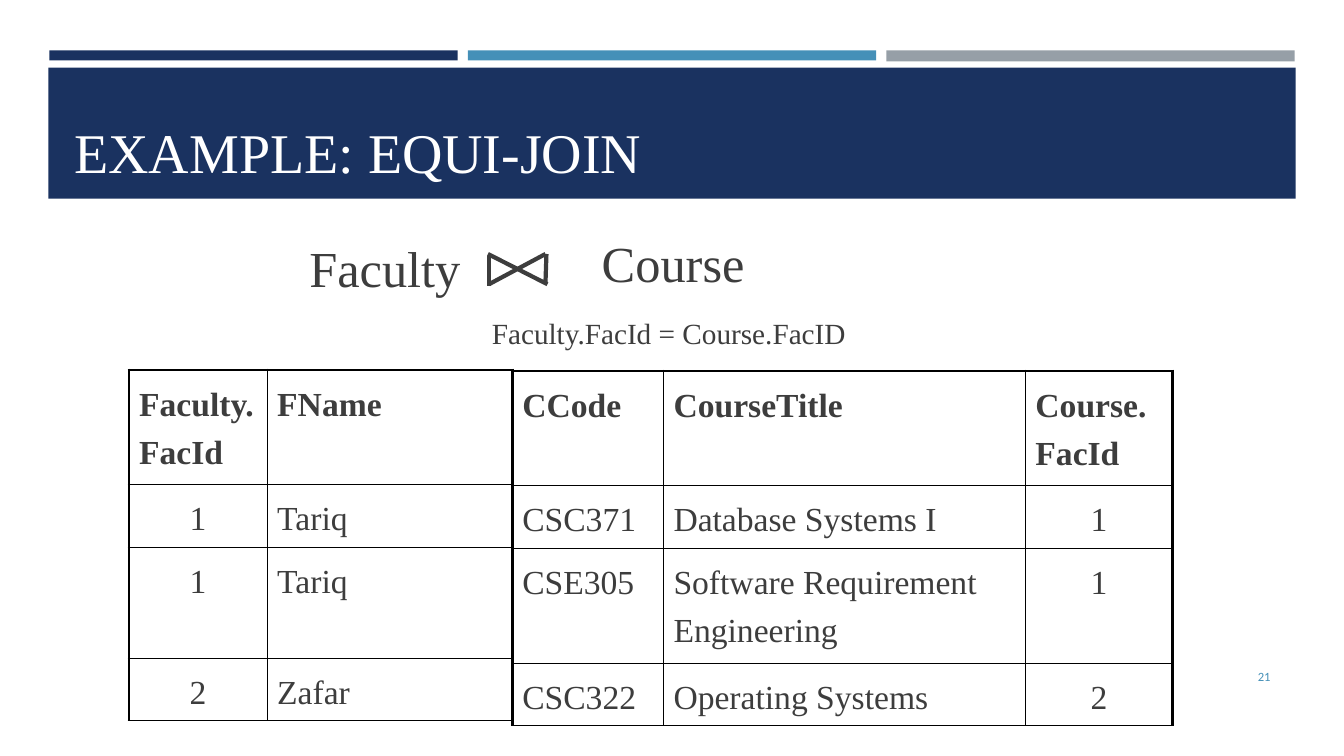
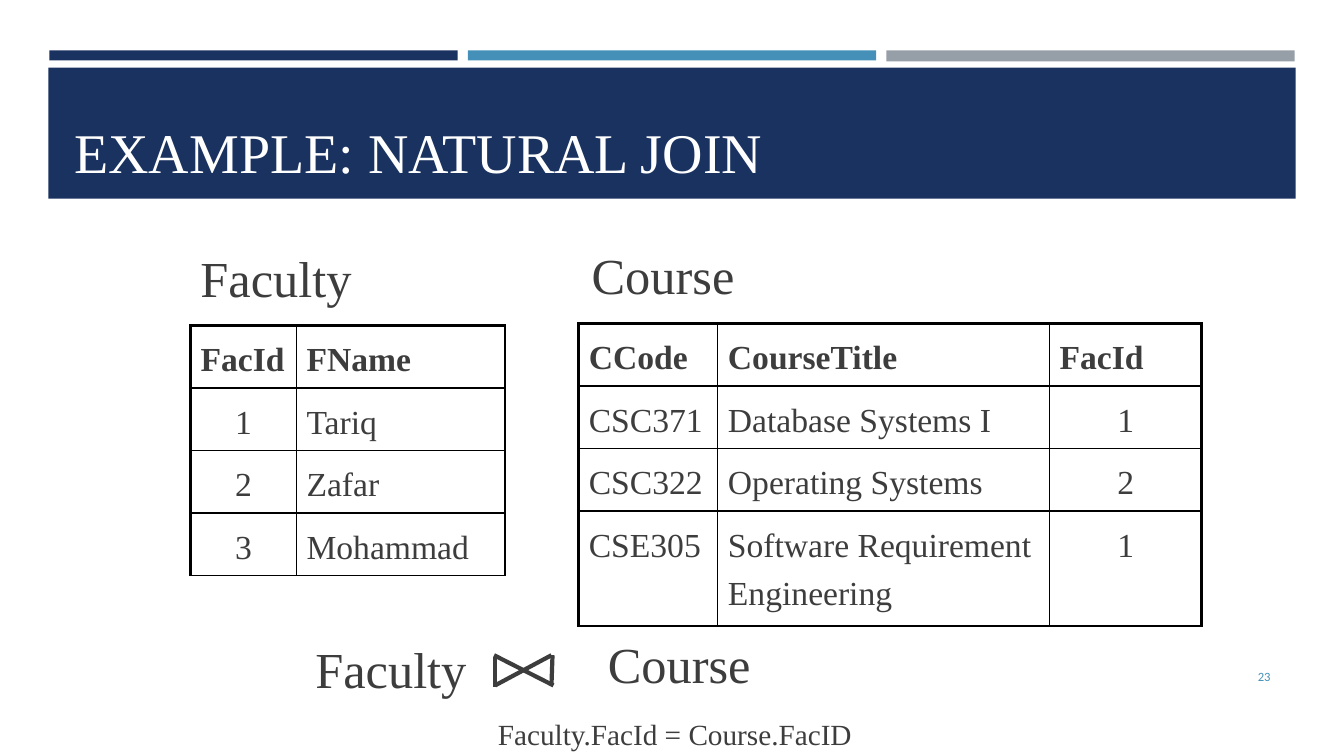
from lxml import etree
from pptx import Presentation
from pptx import util as u
from pptx.dml.color import RGBColor
from pptx.enum import shapes, text
from pptx.oxml import ns

COLORS = {"navy": "1A3260", "blue": "4590B8", "gray": "969FA7",
          "ink": "3D3D3D", "white": "FFFFFF", "black": "000000"}
SERIF, SANS = "Times New Roman", "Calibri"
BARS = [("navy", 0.1), ("blue", 0.1), ("gray", 0.11)]  # colour, height
BAR_WIDTH, BAR_STEP = 4.05, 4.15
THIN, THICK = 1, 2.25

# Parts of the join formula, relative to its top left corner
BOWTIE = [(1.87, 0.27, 2.46, 0.57), (1.88, 0.57, 2.44, 0.27),
          (1.88, 0.29, 1.88, 0.59), (2.45, 0.27, 2.44, 0.56)]
JOIN_WORDS = [("Faculty", 0, 0.05, 1.73), ("Course", 2.9, 0, 1.63)]
JOIN_CONDITION = ("Faculty.FacId = Course.FacID", 1.81, 0.49, 6.41)

SLIDES = [
    {"title": "EXAMPLE: EQUI-JOIN", "number": "21", "join": (2.97, 2.25),
     "labels": [],
     "tables": [
         {"at": (5.08, 3.68), "columns": (1.5, 3.59, 1.46),
          "heights": (1.06, 0.57, 1.06, 0.57),
          "rows": [("CCode", "CourseTitle", "Course.FacId"),
                   ("CSC371", "Database Systems I", "1"),
                   ("CSE305", "Software Requirement Engineering", "1"),
                   ("CSC322", "Operating Systems", "2")]},
         {"at": (1.28, 3.67), "columns": (1.37, 2.43),
          "heights": (1.06, 0.57, 1.1, 0.57),
          "rows": [("Faculty.FacId", "FName"), ("1", "Tariq"),
                   ("1", "Tariq"), ("2", "Zafar")]}]},
    {"title": "EXAMPLE: NATURAL JOIN", "number": "23", "join": (3.03, 6.23),
     "labels": [("Faculty", 1.89, 2.4), ("Course", 5.77, 2.37)],
     "tables": [
         {"at": (5.74, 3.21), "columns": (1.38, 3.29, 1.51),
          "heights": (0.57, 0.57, 0.57, 1.06),
          "rows": [("CCode", "CourseTitle", "FacId"),
                   ("CSC371", "Database Systems I", "1"),
                   ("CSC322", "Operating Systems", "2"),
                   ("CSE305", "Software Requirement Engineering", "1")]},
         {"at": (1.89, 3.23), "columns": (1.05, 2.07),
          "heights": (0.57,) * 4,
          "rows": [("FacId", "FName"), ("1", "Tariq"),
                   ("2", "Zafar"), ("3", "Mohammad")]}]},
]


def color(name):
    return RGBColor.from_string(COLORS[name])


def inches(*lengths):
    return [u.Inches(length) for length in lengths]


def style(para, size, name="ink", face=SERIF, bold=False):
    para.font.size, para.font.name, para.font.bold = u.Pt(size), face, bold
    para.font.color.rgb = color(name)


def add_text(parent, words, left, top, width, height=0.71, size=36,
             name="ink", face=SERIF, anchor=text.MSO_ANCHOR.TOP,
             align=text.PP_ALIGN.LEFT):
    box = parent.add_textbox(*inches(left, top, width, height))
    frame = box.text_frame
    frame.word_wrap = True
    frame.vertical_anchor = anchor
    para = frame.paragraphs[0]
    para.text, para.alignment = words, align
    style(para, size, name, face)
    return para


def add_band(slide, left, top, width, height, name):
    band = slide.shapes.add_shape(shapes.MSO_SHAPE.RECTANGLE,
                                  *inches(left, top, width, height))
    band.shadow.inherit = False
    band.fill.solid()
    band.fill.fore_color.rgb = color(name)
    band.line.fill.background()


def add_frame(slide, title, number):
    """Draw what every slide shares: bars, title band, title and number."""
    for index, (name, height) in enumerate(BARS):
        add_band(slide, 0.49 + index * BAR_STEP, 0.5, BAR_WIDTH, height, name)
    add_band(slide, 0.48, 0.67, 12.37, 1.3, "navy")
    add_text(slide.shapes, title, 0.64, 0.77, 12.06, 1.11, 40, "white",
             anchor=text.MSO_ANCHOR.BOTTOM)
    add_text(slide.shapes, number, 11.55, 6.51, 1.15, 0.4, 9, "blue", SANS,
             text.MSO_ANCHOR.MIDDLE, text.PP_ALIGN.RIGHT)


def set_borders(cell, widths):
    properties = cell._tc.get_or_add_tcPr()
    for side, width in zip("LRTB", widths):
        line = etree.SubElement(properties, ns.qn("a:ln" + side),
                                w=str(u.Pt(width)))
        fill = etree.SubElement(line, ns.qn("a:solidFill"))
        etree.SubElement(fill, ns.qn("a:srgbClr"), val=COLORS["black"])


def add_table(slide, at, columns, heights, rows):
    table = slide.shapes.add_table(
        len(rows), len(columns),
        *inches(*at, sum(columns), sum(heights))).table
    table.first_row = table.horz_banding = False
    for column, width in zip(table.columns, columns):
        column.width = u.Inches(width)
    for row, height in zip(table.rows, heights):
        row.height = u.Inches(height)
    last = len(columns) - 1
    for r, row in enumerate(rows):
        for c, words in enumerate(row):
            cell = table.cell(r, c)
            set_borders(cell, (THICK if c == 0 else THIN,
                               THICK if c == last else THIN,
                               THICK if r == 0 else THIN, THIN))
            cell.fill.solid()
            cell.fill.fore_color.rgb = color("white")
            para = cell.text_frame.paragraphs[0]
            para.text, para.line_spacing = words, 1.3
            if words.isdigit():
                para.alignment = text.PP_ALIGN.CENTER
            style(para, 24, bold=r == 0)


def add_join(slide, left, top):
    """Draw the formula Faculty ⋈ Course with its condition as subscript."""
    group = slide.shapes.add_group_shape().shapes
    for x1, y1, x2, y2 in BOWTIE:
        stroke = group.add_connector(
            shapes.MSO_CONNECTOR.STRAIGHT,
            *inches(left + x1, top + y1, left + x2, top + y2))
        stroke.line.width = u.Pt(3)
        stroke.line.color.rgb = color("ink")
        etree.SubElement(stroke._element.spPr, ns.qn("a:effectLst"))
    for words, x, y, width in JOIN_WORDS:
        add_text(group, words, left + x, top + y, width)
    words, x, y, width = JOIN_CONDITION
    para = add_text(group, words, left + x, top + y, width, 0.51)
    para.runs[0]._r.get_or_add_rPr().set("baseline", "-25000")


def main():
    deck = Presentation()
    deck.slide_width, deck.slide_height = inches(13.33, 7.5)
    for content in SLIDES:
        slide = deck.slides.add_slide(deck.slide_layouts[6])
        add_frame(slide, content["title"], content["number"])
        for table in content["tables"]:
            add_table(slide, **table)
        for words, left, top in content["labels"]:
            add_text(slide.shapes, words, left, top, 2.27)
        add_join(slide, *content["join"])
    deck.save("out.pptx")


if __name__ == "__main__":
    main()
